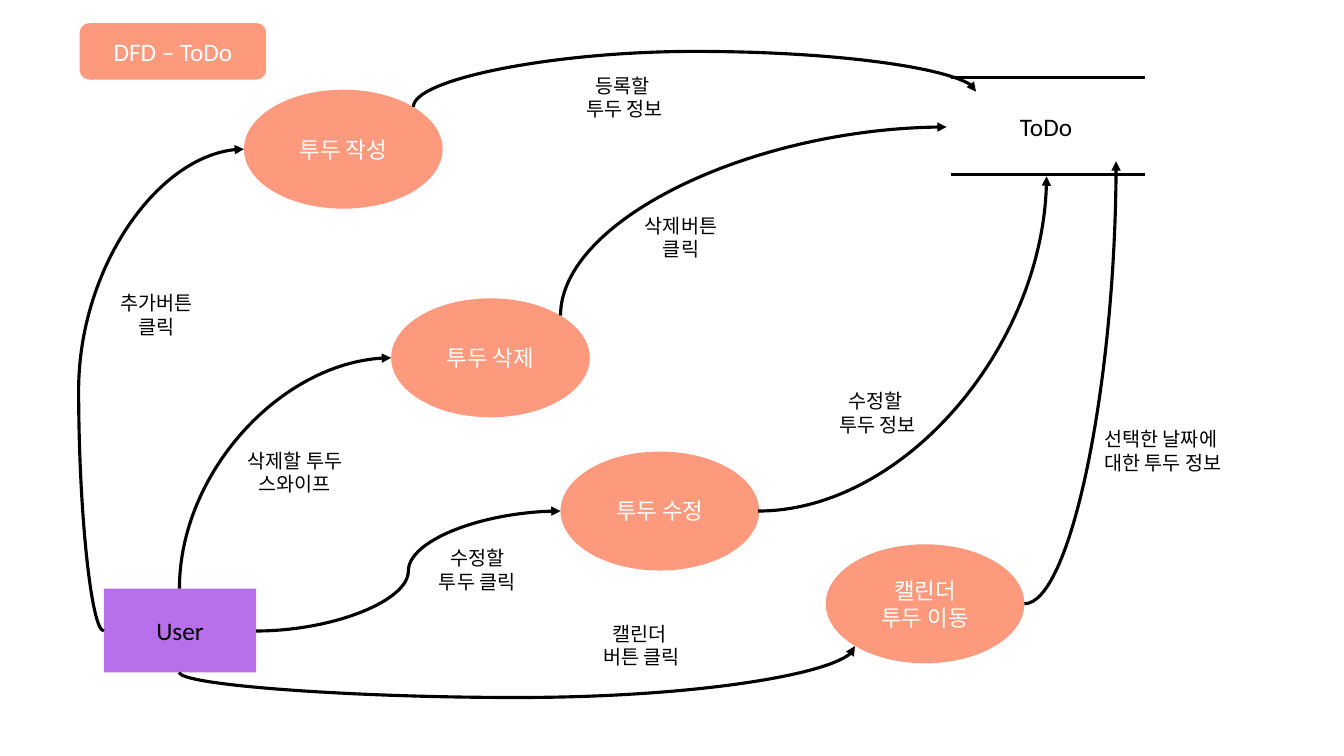
from dataclasses import dataclass
from typing import Optional

from lxml.etree import SubElement
from pptx import Presentation
from pptx.dml.color import RGBColor
from pptx.enum.shapes import MSO_CONNECTOR as Link, MSO_SHAPE as Shape
from pptx.enum.text import MSO_ANCHOR as Anchor, MSO_AUTO_SIZE as AutoSize, PP_ALIGN as Align
from pptx.oxml.ns import qn
from pptx.util import Pt

EMU_PER_PX = 9144
COLORS = {"coral": "FD997D", "purple": "B870EA", "white": "FFFFFF", "black": "000000"}
PROCESS_SIZE = (197, 118)


@dataclass
class Node:
    text: str
    box: tuple[int, int, int, int]
    kind: Shape
    fill: str
    color: str
    size: int


@dataclass
class Flow:
    start: tuple[int, int]
    end: tuple[int, int]
    upward: bool
    turn: Optional[int] = None


@dataclass
class Label:
    text: str
    box: tuple[int, int, int, int]


def process(text: str, left: int, top: int) -> Node:
    return Node(text, (left, top, *PROCESS_SIZE), Shape.OVAL, "coral", "white", 16)


NODES = [
    Node("DFD – ToDo", (79, 23, 185, 56), Shape.ROUNDED_RECTANGLE, "coral", "white", 18),
    Node("User", (103, 584, 151, 83), Shape.RECTANGLE, "purple", "black", 18),
    Node("ToDo", (939, 76, 197, 98), Shape.OVAL, "white", "black", 18),
    process("투두 작성", 242, 89),
    process("투두 수정", 556, 448),
    process("투두 삭제", 388, 296),
    process("캘린더\n투두 이동", 819, 540),
]

STORE_LEFT, STORE_RIGHT = 943, 1136
STORE_EDGES = [77, 173]

FLOWS = [
    Flow((254, 626), (556, 507), upward=False, turn=405),
    Flow((103, 626), (242, 148), upward=False, turn=78),
    Flow((410, 106), (968, 91), upward=True, turn=51),
    Flow((752, 507), (1038, 175), upward=False),
    Flow((178, 584), (388, 355), upward=True),
    Flow((556, 313), (939, 126), upward=True),
    Flow((178, 667), (848, 641), upward=True, turn=692),
    Flow((1016, 599), (1107, 160), upward=False),
]

LABELS = [
    Label("추가버튼\n클릭", (106, 284, 99, 57)),
    Label("수정할\n투두 클릭", (422, 537, 103, 57)),
    Label("삭제버튼\n클릭", (626, 207, 99, 57)),
    Label("수정할 \n투두 정보", (819, 381, 103, 57)),
    Label("등록할 \n투두 정보", (568, 68, 103, 57)),
    Label("캘린더 \n버튼 클릭", (585, 612, 103, 57)),
    Label("삭제할 투두\n스와이프", (231, 440, 123, 57)),
    Label("선택한 날짜에 \n대한 투두 정보", (1080, 419, 147, 57)),
]


def emu(*lengths: float) -> list[int]:
    return [round(length * EMU_PER_PX) for length in lengths]


def rgb(name: str) -> RGBColor:
    return RGBColor.from_string(COLORS[name])


def write(frame, text: str, *, size: int, color: str, anchor=Anchor.TOP, wrap: bool = True) -> None:
    frame.word_wrap = wrap
    frame.vertical_anchor = anchor
    frame.text = text
    for paragraph in frame.paragraphs:
        paragraph.alignment = Align.CENTER
        paragraph.font.name = "Calibri"
        paragraph.font.size = Pt(size)
        paragraph.font.color.rgb = rgb(color)


def draw_node(slide, node: Node) -> None:
    body = slide.shapes.add_shape(node.kind, *emu(*node.box))
    body.shadow.inherit = False
    body.fill.solid()
    body.fill.fore_color.rgb = rgb(node.fill)
    body.line.fill.background()
    write(body.text_frame, node.text, size=node.size, color=node.color, anchor=Anchor.MIDDLE)


def draw_line(slide, kind: Link, *ends: float):
    line = slide.shapes.add_connector(kind, *emu(*ends))
    line.line.color.rgb = rgb("black")
    line.line.width = Pt(2.25)
    SubElement(line._element.spPr, qn("a:effectLst"))
    return line


def draw_flow(slide, flow: Flow) -> None:
    (x1, y1), (x2, y2) = flow.start, flow.end
    if flow.upward:
        rise, run = y1 - y2, x2 - x1
        mid_x, mid_y = (x1 + x2) / 2, (y1 + y2) / 2
        ends = (mid_x - rise / 2, mid_y - run / 2, mid_x + rise / 2, mid_y + run / 2)
    else:
        ends = (x1, y1, x2, y2)
    arrow = draw_line(slide, Link.CURVE, *ends)
    properties = arrow._element.spPr
    if flow.upward:
        properties.find(qn("a:xfrm")).set("rot", str(270 * 60000))
    geometry = properties.find(qn("a:prstGeom"))
    if flow.turn is None:
        geometry.set("prst", "curvedConnector2")
    else:
        share = (y1 - flow.turn) / (y1 - y2) if flow.upward else (flow.turn - x1) / (x2 - x1)
        guides = geometry.find(qn("a:avLst"))
        SubElement(guides, qn("a:gd"), name="adj1", fmla=f"val {round(share * 100000)}")
    SubElement(properties.find(qn("a:ln")), qn("a:tailEnd"), type="triangle")


def draw_label(slide, label: Label) -> None:
    frame = slide.shapes.add_textbox(*emu(*label.box)).text_frame
    write(frame, label.text, size=14, color="black", wrap=False)
    frame.auto_size = AutoSize.SHAPE_TO_FIT_TEXT


def main() -> None:
    deck = Presentation()
    deck.slide_width, deck.slide_height = emu(1333, 750)
    slide = deck.slides.add_slide(deck.slide_layouts[6])
    for node in NODES:
        draw_node(slide, node)
    for edge in STORE_EDGES:
        draw_line(slide, Link.STRAIGHT, STORE_LEFT, edge, STORE_RIGHT, edge)
    for flow in FLOWS:
        draw_flow(slide, flow)
    for label in LABELS:
        draw_label(slide, label)
    deck.save("out.pptx")


if __name__ == "__main__":
    main()
